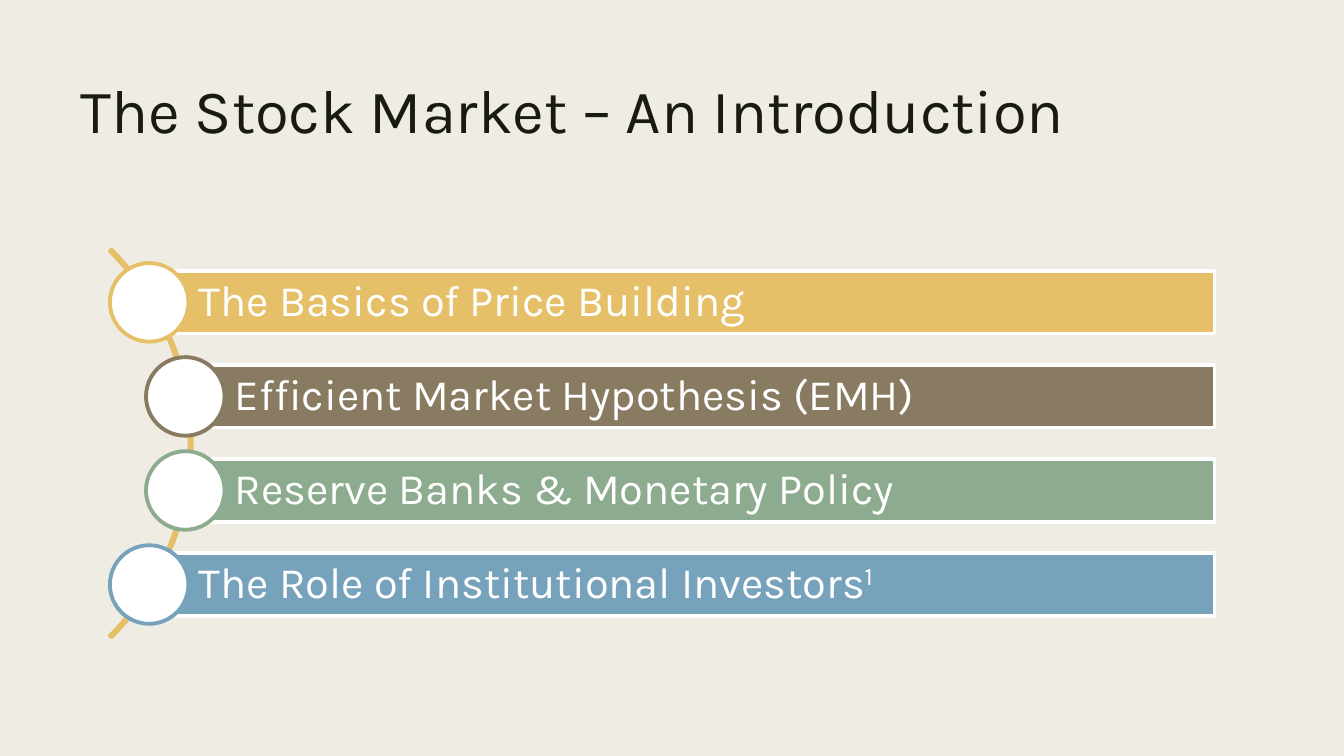
from pptx import Presentation
from pptx.dml.color import RGBColor
from pptx.enum.shapes import MSO_SHAPE
from pptx.enum.text import MSO_ANCHOR, PP_ALIGN
from pptx.util import Cm, Pt

TITLE = "The Stock Market – An Introduction"
TOPICS = [
    {"text": "The Basics of Price Building", "note": "", "color": "E6C069", "left": 3.76},
    {"text": "Efficient Market Hypothesis (EMH)", "note": "", "color": "897B61", "left": 4.67},
    {"text": "Reserve Banks & Monetary Policy", "note": "", "color": "8DAB8E", "left": 4.67},
    {"text": "The Role of Institutional Investors", "note": "1", "color": "77A2BB", "left": 3.76},
]
FONT = "Karla"
BACKGROUND, INK, WHITE = "EFEDE3", "191B0E", "FFFFFF"
FIRST_CENTER, PITCH = 7.62, 2.37
BAR_RIGHT, BAR_HEIGHT, CIRCLE_SIZE = 30.61, 1.57, 1.98
ARC_CENTER_X, ARC_SIZE = -2.08, 13.82


def rgb(value):
    return RGBColor.from_string(value)


def add_preset(slide, preset, left, top, width, height, fill, line):
    shape = slide.shapes.add_shape(preset, Cm(left), Cm(top), Cm(width), Cm(height))
    shape.shadow.inherit = False
    if fill:
        shape.fill.solid()
        shape.fill.fore_color.rgb = rgb(fill)
    else:
        shape.fill.background()
    shape.line.color.rgb = rgb(line)
    shape.line.width = Pt(2.75)
    return shape


def format_paragraph(paragraph, size, color, spacing):
    paragraph.alignment = PP_ALIGN.LEFT
    paragraph.line_spacing = spacing
    for run in paragraph.runs:
        run.font.name = FONT
        run.font.size = Pt(size)
        run.font.color.rgb = rgb(color)


def add_title(slide):
    title = slide.shapes.title
    title.left, title.top, title.width, title.height = Cm(1.78), Cm(1.91), Cm(30.3), Cm(4.11)
    title.text_frame.text = TITLE
    title.text_frame.vertical_anchor = MSO_ANCHOR.TOP
    format_paragraph(title.text_frame.paragraphs[0], 44, INK, 0.89)


def add_arc(slide):
    center_y = FIRST_CENTER + PITCH * (len(TOPICS) - 1) / 2
    arc = add_preset(slide, MSO_SHAPE.BLOCK_ARC, ARC_CENTER_X - ARC_SIZE / 2,
                     center_y - ARC_SIZE / 2, ARC_SIZE, ARC_SIZE, None, TOPICS[0]["color"])
    for index, value in enumerate((189, 27, 0.004)):
        arc.adjustments[index] = value


def add_topic(slide, topic, center_y):
    left, color = topic["left"], topic["color"]
    bar = add_preset(slide, MSO_SHAPE.RECTANGLE, left, center_y - BAR_HEIGHT / 2,
                     BAR_RIGHT - left, BAR_HEIGHT, color, WHITE)
    frame = bar.text_frame
    frame.text = topic["text"]
    frame.word_wrap = True
    frame.vertical_anchor = MSO_ANCHOR.MIDDLE
    frame.margin_left = Cm(1.25)
    frame.margin_top = frame.margin_right = frame.margin_bottom = Cm(0.22)
    paragraph = frame.paragraphs[0]
    if topic["note"]:
        note = paragraph.add_run()
        note.text = topic["note"]
        note.font._element.set("baseline", "30000")
    format_paragraph(paragraph, 31, WHITE, 0.9)
    add_preset(slide, MSO_SHAPE.OVAL, left - CIRCLE_SIZE / 2, center_y - CIRCLE_SIZE / 2,
               CIRCLE_SIZE, CIRCLE_SIZE, WHITE, color)


def main():
    presentation = Presentation()
    presentation.slide_width, presentation.slide_height = Cm(33.87), Cm(19.05)
    slide = presentation.slides.add_slide(presentation.slide_layouts[5])
    slide.background.fill.solid()
    slide.background.fill.fore_color.rgb = rgb(BACKGROUND)
    add_title(slide)
    add_arc(slide)
    for index, topic in enumerate(TOPICS):
        add_topic(slide, topic, FIRST_CENTER + index * PITCH)
    presentation.save("out.pptx")


if __name__ == "__main__":
    main()
